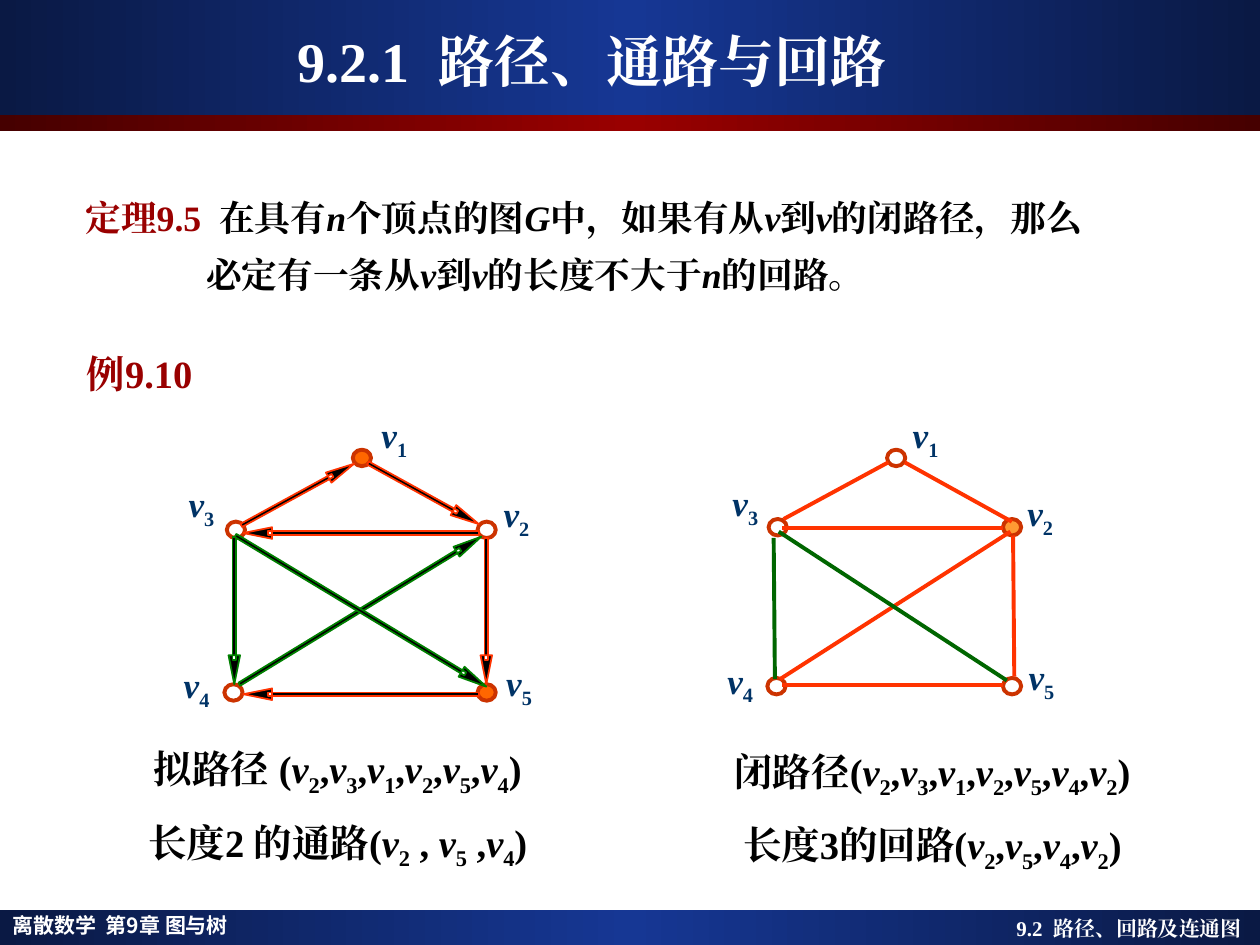
from itertools import groupby
from copy import deepcopy
from math import hypot
from lxml import etree
from pptx import Presentation
from pptx.dml.color import RGBColor
from pptx.enum.shapes import MSO_CONNECTOR, MSO_SHAPE
from pptx.enum.text import MSO_ANCHOR, PP_ALIGN
from pptx.oxml.ns import qn
from pptx.util import Pt

LEFT, CENTER, RIGHT = PP_ALIGN.LEFT, PP_ALIGN.CENTER, PP_ALIGN.RIGHT
TOP, MIDDLE = MSO_ANCHOR.TOP, MSO_ANCHOR.MIDDLE
OVAL, RECTANGLE = MSO_SHAPE.OVAL, MSO_SHAPE.RECTANGLE
STRAIGHT = MSO_CONNECTOR.STRAIGHT
SERIF, SANS = "Times New Roman", "Noto Sans CJK JP"
COLORS = {
    "navy": "0A1944", "blue": "163794", "maroon": "460000", "crimson": "990000",
    "white": "FFFFFF", "black": "000000", "label": "003366", "ring": "CC3300",
    "orange": "FF6600", "amber": "FF9933", "red": "FF3300",
    "green": "008000", "dark green": "006600",
}
RGB = {name: RGBColor.from_string(value) for name, value in COLORS.items()}

deck = Presentation()
deck.slide_width, deck.slide_height = Pt(720), Pt(540)
page = deck.slides.add_slide(deck.slide_layouts[5])
shapes = page.shapes


def write(box, paragraphs, size, margins=(7.2, 3.6, 7.2, 3.6), align=LEFT,
          anchor=TOP, spacing=1.0, font=SERIF):
    frame = box.text_frame
    sides = dict(zip(("left", "top", "right", "bottom"), margins))
    settings = {f"margin_{side}": Pt(value) for side, value in sides.items()}
    settings.update(word_wrap=True, vertical_anchor=anchor)
    for name, value in settings.items():
        setattr(frame, name, value)
    for number, pieces in enumerate(paragraphs):
        para = frame.add_paragraph() if number else frame.paragraphs[0]
        para.alignment, para.line_spacing = align, spacing
        for text, color in pieces:
            styles = [(char in "vnG", before == "v" and char.isdigit())
                      for before, char in zip(" " + text, text)]
            for style, group in groupby(zip(text, styles), key=lambda pair: pair[1]):
                italic, subscript = style
                span = para.add_run()
                span.text = "".join(char for char, _ in group)
                look = {"name": font, "size": Pt(size), "bold": True, "italic": italic}
                for name, value in look.items():
                    setattr(span.font, name, value)
                span.font.color.rgb = RGB[color]
                properties = span.font._element
                etree.SubElement(properties, qn("a:ea")).set("typeface", font)
                if subscript:
                    properties.set("baseline", "-25000")


def draw_arrow(x1, y1, x2, y2, color):
    length = hypot(x2 - x1, y2 - y1)
    dx, dy = (x2 - x1) / length, (y2 - y1) / length

    def place(along, across):
        return (Pt(x1 + along * dx - across * dy), Pt(y1 + along * dy + across * dx))

    neck, base = length - 14, length - 16.5
    shaft = [place(0, 1), place(neck, 1), place(neck, -1), place(0, -1)]
    head = [place(base, 3.3), place(length, 0), place(base, -3.3)]
    builder = shapes.build_freeform(*shaft[0])
    builder.add_line_segments(shaft[1:], close=True)
    builder.move_to(*head[0])
    builder.add_line_segments(head[1:], close=True)
    arrow = builder.convert_to_shape()
    arrow.shadow.inherit = False
    arrow.fill.solid()
    arrow.fill.fore_color.rgb = RGB["black"]
    arrow.line.color.rgb = RGB[color]
    arrow.line.width = Pt(1)


bands = [(519.8, 20.2, "navy", "blue"), (0, 65.5, "navy", "blue"),
         (65.5, 9.5, "maroon", "crimson")]
for top, height, edge, middle in bands:
    band = shapes.add_shape(RECTANGLE, 0, Pt(top), Pt(720), Pt(height))
    band.shadow.inherit = False
    band.line.fill.background()
    band.fill.gradient()
    band.fill.gradient_angle = 0
    stop_list = band._element.spPr.find(qn("a:gradFill")).find(qn("a:gsLst"))
    stop_list.append(deepcopy(stop_list[0]))
    for stop, position, color in zip(band.fill.gradient_stops, (0, 0.5, 1),
                                     (edge, middle, edge)):
        stop.position = position
        stop.color.rgb = RGB[color]

title = shapes.title
shapes._spTree.append(title._element)
title.left, title.top, title.width, title.height = Pt(23.8), Pt(12.2), Pt(666), Pt(44.6)
write(title, [[("9.2.1  路径、通路与回路", "white")]], 32, (7.2, 3.6, 44, 3.6),
      CENTER, MIDDLE)

theorem = [[("定理9.5  ", "crimson"), ("在具有n个顶点的图G中，如果有从v到v的闭路径，那么", "black")],
           [("必定有一条从v到v的长度不大于n的回路。", "black")]]
closed_walk = [[("闭路径(v2,v3,v1,v2,v5,v4,v2)", "black")],
               [("长度3的回路(v2,v5,v4,v2)", "black")]]
open_walk = [[("拟路径 (v2,v3,v1,v2,v5,v4)", "black")],
             [("长度2 的通路(v2 , v5 ,v4)", "black")]]
texts = [
    ((0, 519.8, 297.4, 20.2), [[("离散数学  第9章 图与树", "white")]],
     {"size": 12, "spacing": 0.9, "font": SANS}),
    ((535.7, 519.8, 184.3, 21.6), [[("9.2  路径、回路及连通图", "white")]],
     {"size": 12, "align": RIGHT, "margins": (7.2, 3.6, 10.2, 3.6)}),
    ((36.7, 105.8, 648, 88.6), theorem, {"size": 20.4, "spacing": 1.1}),
    ((42.5, 196.6, 132.5, 33.8), [[("例9.10", "crimson")]], {"size": 22}),
    ((388.1, 411.8, 289.4, 91.4), closed_walk,
     {"size": 22, "align": CENTER, "spacing": 1.4}),
    ((59.8, 410.4, 266.4, 91.4), open_walk,
     {"size": 22, "align": CENTER, "spacing": 1.4}),
]
for frame, paragraphs, style in texts:
    box = shapes.add_textbox(*map(Pt, frame))
    write(box, paragraphs, **style)
    if paragraphs is theorem:
        for para, indent in zip(box.text_frame.paragraphs, (5, 74)):
            para._p.get_or_add_pPr().set("marL", str(Pt(indent)))
        para.space_before = Pt(5.5)

vertices = [
    (201.6, 257, "orange"), (129.6, 298.1, None), (272.9, 298.1, None),
    (128.2, 391, None), (272.9, 391, "orange"),
    (506.9, 257, None), (439.2, 296.6, None), (573.1, 296.6, "amber"),
    (438.5, 387.4, None), (573.1, 387.4, None),
]
for left, top, color in vertices:
    vertex = shapes.add_shape(OVAL, Pt(left), Pt(top), Pt(10.4), Pt(9.4))
    vertex.shadow.inherit = False
    vertex.line.color.rgb = RGB["ring"]
    vertex.line.width = Pt(2.25)
    if color:
        vertex.fill.solid()
        vertex.fill.fore_color.rgb = RGB[color]
    else:
        vertex.fill.background()

directed_edges = [
    (133.9, 306.7, 133.9, 391, "green"), (273.6, 396.7, 139, 396.7, "red"),
    (277.9, 307.4, 277.9, 391, "red"), (137.9, 300.2, 202.3, 265, "red"),
    (210.3, 264.6, 273.6, 299.5, "red"), (273.6, 304.6, 139, 304.6, "red"),
    (136.8, 391, 275, 306.7, "green"), (134.6, 306, 277.9, 392.4, "green"),
]
for edge in directed_edges:
    draw_arrow(*edge)

plain_edges = [
    (447.1, 391.7, 573.1, 391.7, "red"), (445.7, 388.1, 577.4, 303.8, "red"),
    (447.1, 301.7, 573.1, 301.7, "red"), (442.1, 307.4, 442.8, 388.1, "dark green"),
    (578.9, 306, 579.6, 386.6, "red"), (447.8, 296.6, 507.6, 264.2, "red"),
    (517, 264.2, 578.2, 298.1, "red"), (445, 303.8, 575.3, 388.8, "dark green"),
]
for *ends, color in plain_edges:
    edge = shapes.add_connector(STRAIGHT, *map(Pt, ends))
    edge.line.color.rgb = RGB[color]
    edge.line.width = Pt(2.25)
    etree.SubElement(edge._element.spPr, qn("a:effectLst"))

label_groups = [
    (25.9, [(212.4, 236.2), (282.2, 281.5), (102.2, 275.8), (99.4, 379.4), (283.7, 378)]),
    (23.8, [(517, 236.2), (582.5, 280.8), (414, 275), (411.1, 376.6), (583.2, 374.4)]),
]
for width, corners in label_groups:
    for number, (left, top) in enumerate(corners, 1):
        label = shapes.add_textbox(Pt(left), Pt(top), Pt(width), Pt(27.4))
        write(label, [[(f"v{number}", "label")]], 20, (0, 0, 0, 0), CENTER)

deck.save("out.pptx")
